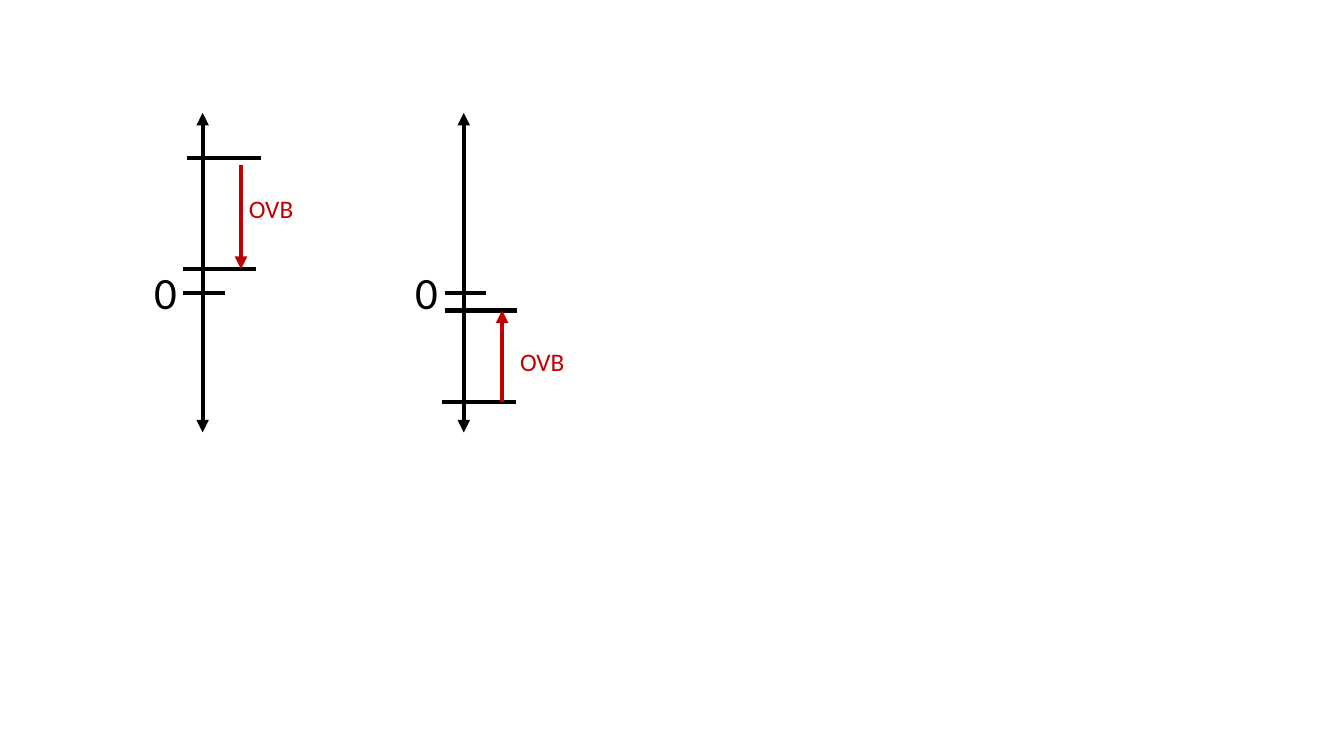
from lxml import etree
from pptx import Presentation
from pptx.dml.color import RGBColor
from pptx.enum.shapes import MSO_CONNECTOR as Connector
from pptx.enum.text import MSO_AUTO_SIZE as AutoSize
from pptx.oxml.ns import qn
from pptx.util import Inches, Pt

THEME = {
    "font": "Calibri",
    "axis": RGBColor(0x00, 0x00, 0x00),
    "bias": RGBColor(0xC0, 0x00, 0x00),
    "zero_size": Pt(32),
    "bias_size": Pt(18),
    "line_width": Pt(3),
}

presentation = Presentation()
presentation.slide_width = Inches(13.33)
presentation.slide_height = Inches(7.5)
slide = presentation.slides.add_slide(presentation.slide_layouts[6])

# Grid of one-inch cells
COLUMN = presentation.slide_width / 13.33
ROW = presentation.slide_height / 7.5


def add_line(x1, y1, x2, y2, color, arrowheads=()):
    line = slide.shapes.add_connector(
        Connector.STRAIGHT,
        round(x1 * COLUMN), round(y1 * ROW), round(x2 * COLUMN), round(y2 * ROW))
    line.line.color.rgb = color
    line.line.width = THEME["line_width"]
    outline = line.line._get_or_add_ln()
    for end in arrowheads:
        etree.SubElement(outline, qn(f"a:{end}"), type="triangle")
    etree.SubElement(line._element.spPr, qn("a:effectLst"))


def add_label(text, x, y, width, height, size, color):
    label = slide.shapes.add_textbox(
        round(x * COLUMN), round(y * ROW), round(width * COLUMN), round(height * ROW))
    frame = label.text_frame
    frame.text = text
    frame.word_wrap = False
    frame.auto_size = AutoSize.SHAPE_TO_FIT_TEXT
    font = frame.paragraphs[0].runs[0].font
    font.name = THEME["font"]
    font.size = size
    font.color.rgb = color


AXIS_TOP, AXIS_BOTTOM, ZERO = 1.12, 4.29, 2.91
ARROW_OFFSET = 0.38

# Horizontal offsets are measured from each axis
diagrams = [
    {"axis": 2.01, "ticks": [(-0.16, 0.58, 1.57), (-0.19, 0.53, 2.67)],
     "arrow": (1.64, 2.67), "label": (0.36, 1.87)},
    {"axis": 4.6, "ticks": [(-0.22, 0.52, 3.99), (-0.19, 0.53, 3.08)],
     "arrow": (3.99, 3.08), "label": (0.46, 3.39)},
]

for diagram in diagrams:
    axis = diagram["axis"]

    # Number line with its zero mark
    add_line(axis, AXIS_BOTTOM, axis, AXIS_TOP, THEME["axis"], ("headEnd", "tailEnd"))
    add_line(axis - 0.19, ZERO, axis + 0.22, ZERO, THEME["axis"])
    add_label("0", axis - 0.58, ZERO - 0.33, 0.43, 0.64, THEME["zero_size"], THEME["axis"])

    # Estimates before and after the bias
    for left, right, y in diagram["ticks"]:
        add_line(axis + left, y, axis + right, y, THEME["axis"])

    # Bias arrow towards zero
    start, end = diagram["arrow"]
    arrow_x = axis + ARROW_OFFSET
    add_line(arrow_x, start, arrow_x, end, THEME["bias"], ("tailEnd",))
    offset, top = diagram["label"]
    add_label("OVB", axis + offset, top, 0.65, 0.4, THEME["bias_size"], THEME["bias"])

presentation.save("out.pptx")
